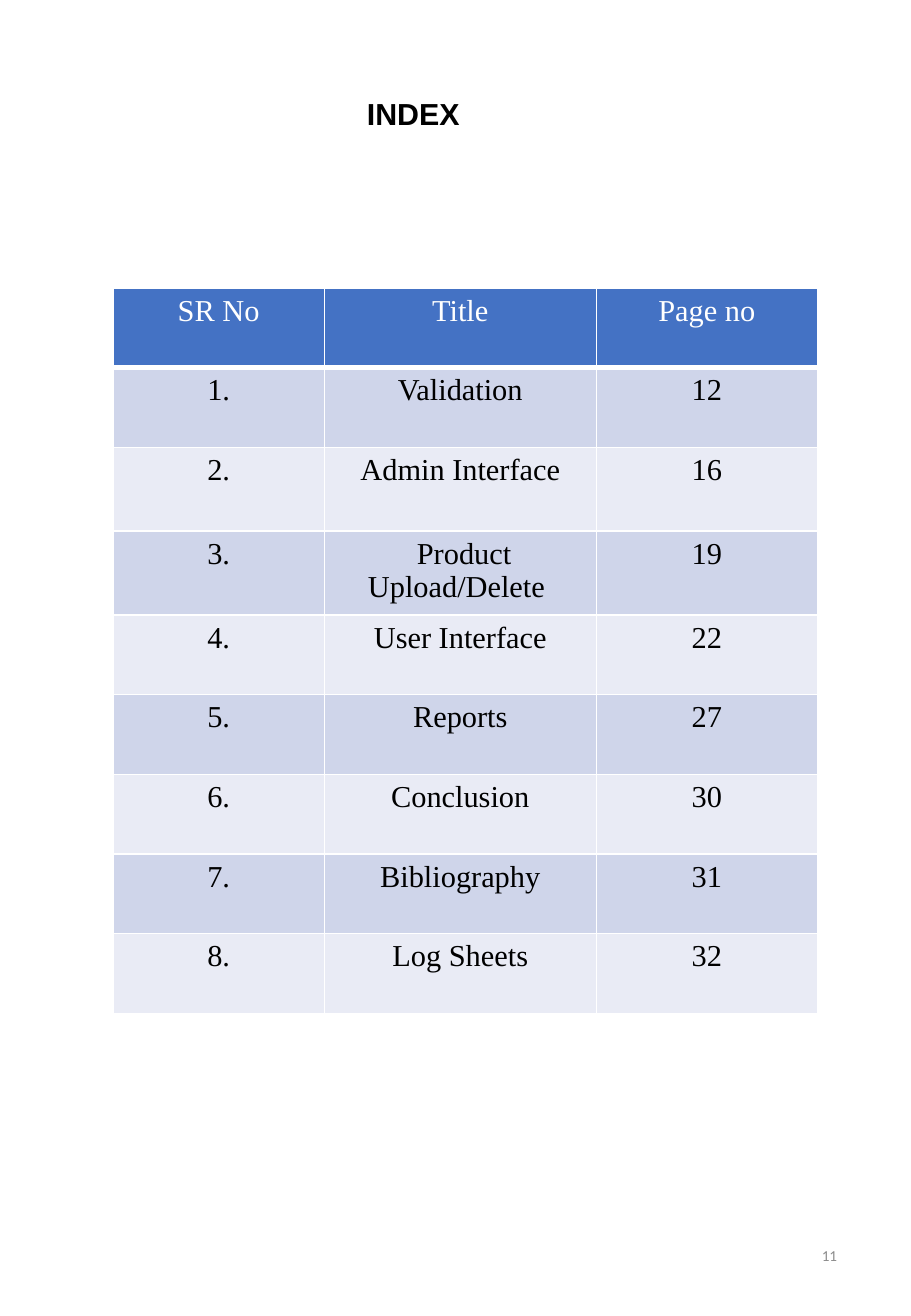
from lxml.etree import SubElement
from pptx import Presentation
from pptx.dml.color import RGBColor
from pptx.enum.text import MSO_ANCHOR, PP_ALIGN
from pptx.oxml.ns import qn
from pptx.util import Inches, Pt

BLACK = RGBColor(0x00, 0x00, 0x00)
WHITE = RGBColor(0xFF, 0xFF, 0xFF)
GREY = RGBColor(0x8C, 0x8C, 0x8C)
HEADER_BLUE = RGBColor(0x44, 0x72, 0xC4)
BANDS = (RGBColor(0xCF, 0xD5, 0xEA), RGBColor(0xE9, 0xEB, 0xF5))

HEADINGS = ("SR No", "Title", "Page no")
CHAPTERS = (
    ("Validation", 12),
    ("Admin Interface", 16),
    (" Product Upload/Delete ", 19),
    ("User Interface", 22),
    ("Reports", 27),
    ("Conclusion", 30),
    ("Bibliography", 31),
    ("Log Sheets", 32),
)
COLUMN_WIDTHS = (1.74, 2.24, 1.82)
TABLE_HEIGHT = 5.97
TALL_ROWS = (2, 3)
TALL_HEIGHT = 0.69


def write(frame, text, size=18, font="Times New Roman", color=BLACK,
          bold=False, align=PP_ALIGN.CENTER):
    frame.text = text
    paragraph = frame.paragraphs[0]
    paragraph.alignment = align
    letters = paragraph.runs[0].font
    letters.name, letters.size, letters.bold = font, Pt(size), bold
    letters.color.rgb = color


def add_border(cell, side, points):
    properties = cell._tc.get_or_add_tcPr()
    line = SubElement(properties, qn(f"a:{side}"), w=str(Pt(points)))
    fill = SubElement(line, qn("a:solidFill"))
    SubElement(fill, qn("a:srgbClr"), val=str(WHITE))


def style_cell(cell, row, text):
    thick_sides = {0: "lnB", 1: "lnT"}
    for side in ("lnL", "lnR", "lnT", "lnB"):
        add_border(cell, side, 3 if thick_sides.get(row) == side else 1)
    cell.fill.solid()
    cell.fill.fore_color.rgb = BANDS[(row - 1) % 2] if row else HEADER_BLUE
    write(cell.text_frame, text, color=BLACK if row else WHITE)


def add_index_table(slide):
    entries = [HEADINGS] + [
        (f"{number}.", chapter, str(page))
        for number, (chapter, page) in enumerate(CHAPTERS, 1)
    ]
    table = slide.shapes.add_table(
        len(entries), len(HEADINGS), Inches(0.93), Inches(2.37),
        Inches(sum(COLUMN_WIDTHS)), Inches(TABLE_HEIGHT)).table
    for column, width in zip(table.columns, COLUMN_WIDTHS):
        column.width = Inches(width)
    normal_height = ((TABLE_HEIGHT - len(TALL_ROWS) * TALL_HEIGHT)
                     / (len(entries) - len(TALL_ROWS)))
    for row, entry in enumerate(entries):
        height = TALL_HEIGHT if row in TALL_ROWS else normal_height
        table.rows[row].height = Inches(height)
        for column, text in enumerate(entry):
            style_cell(table.cell(row, column), row, text)


def add_title(slide):
    title = slide.shapes.title
    title.left, title.top = Inches(3.02), Inches(0.68)
    title.width, title.height = Inches(2), Inches(0.5)
    frame = title.text_frame
    frame.margin_left = frame.margin_right = 0
    frame.margin_top = frame.margin_bottom = 0
    frame.vertical_anchor = MSO_ANCHOR.MIDDLE
    write(frame, "INDEX", font="Arial", bold=True, align=PP_ALIGN.LEFT)


def add_page_number(slide):
    frame = slide.shapes.add_textbox(
        Inches(5.3), Inches(10.04), Inches(1.69), Inches(0.58)).text_frame
    frame.word_wrap = True
    frame.vertical_anchor = MSO_ANCHOR.MIDDLE
    write(frame, "11", size=9, font="Calibri", color=GREY,
          align=PP_ALIGN.RIGHT)


def main():
    """Build the index slide with its table of chapters."""
    presentation = Presentation()
    presentation.slide_width = Inches(7.5)
    presentation.slide_height = Inches(10.83)
    slide = presentation.slides.add_slide(presentation.slide_layouts[5])
    add_title(slide)
    add_index_table(slide)
    add_page_number(slide)
    presentation.save("out.pptx")


if __name__ == "__main__":
    main()
